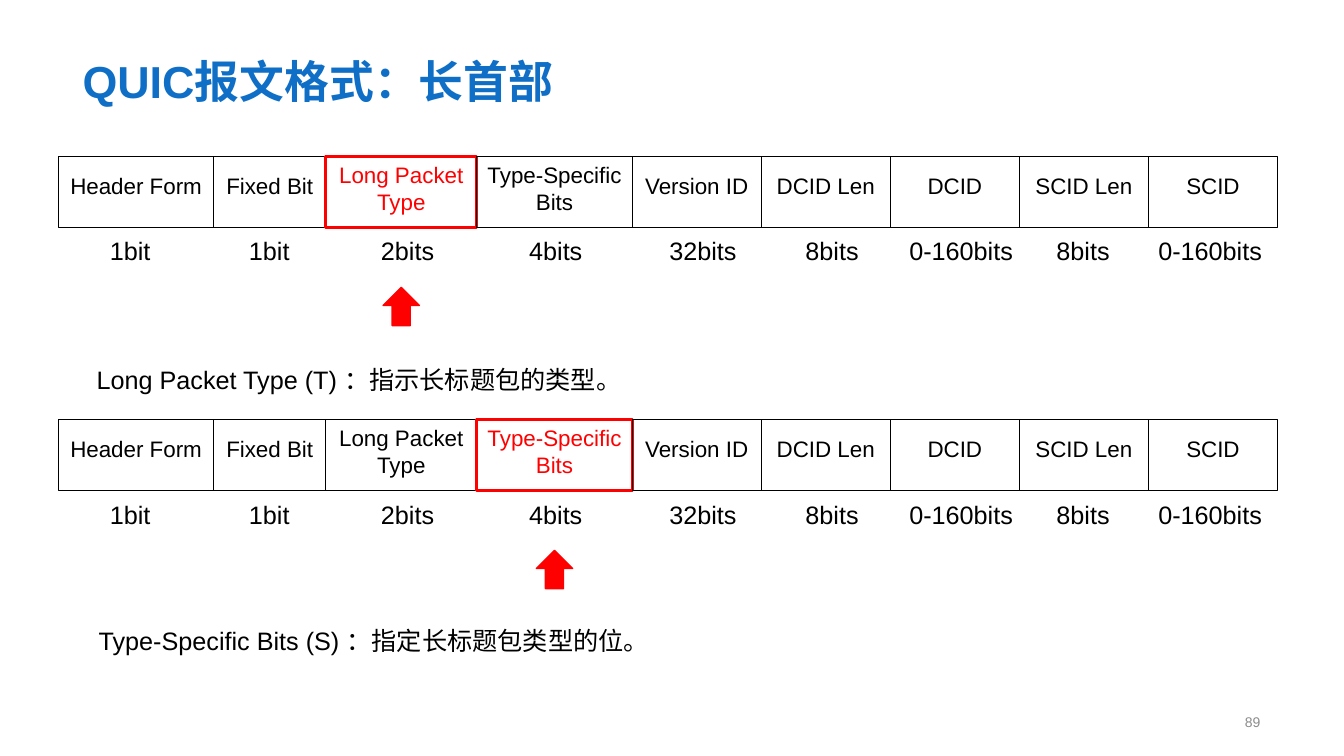
from pptx import Presentation
from pptx.dml.color import RGBColor
from pptx.enum.shapes import MSO_SHAPE as Shape
from pptx.enum.text import MSO_ANCHOR as Anchor, MSO_AUTO_SIZE as Fit, PP_ALIGN as Align
from pptx.util import Pt

PX = 9144
BLACK = RGBColor(0x00, 0x00, 0x00)
RED = RGBColor(0xFF, 0x00, 0x00)
BLUE = RGBColor(0x0F, 0x6F, 0xC6)
GRAY = RGBColor(0x8C, 0x8C, 0x8C)

deck = Presentation()
deck.slide_width, deck.slide_height = 1333 * PX, 750 * PX
slide = deck.slides.add_slide(deck.slide_layouts[6])


def write(shape, text, size, color, align=Align.LEFT):
    para = shape.text_frame.paragraphs[0]
    para.text = text
    para.alignment = align
    para.font.name = "Arial"
    para.font.size = Pt(size)
    para.font.color.rgb = color
    return para


def add_text(left, top, width, height, wrap=True):
    box = slide.shapes.add_textbox(left * PX, top * PX, width * PX, height * PX)
    box.text_frame.word_wrap = wrap
    return box


page = add_text(850, 701, 410, 30)
page.text_frame.vertical_anchor = Anchor.MIDDLE
write(page, "89", 10, GRAY, Align.RIGHT)

title = add_text(72, 14, 1188, 98)
title.text_frame.vertical_anchor = Anchor.BOTTOM
write(title, "QUIC报文格式：长首部", 32, BLUE).font.bold = True

fields = [
    ("Header Form", 154, "1bit", 99),
    ("Fixed Bit", 111, "1bit", 237),
    ("Long Packet Type", 150, "2bits", 368),
    ("Type-Specific Bits", 154, "4bits", 515),
    ("Version ID", 128, "32bits", 654),
    ("DCID Len", 128, "8bits", 789),
    ("DCID", 128, "0-160bits", 892),
    ("SCID Len", 128, "8bits", 1038),
    ("SCID", 128, "0-160bits", 1139),
]
rows = [
    (155, "Long Packet Type", 56, 342, "Long Packet Type (T) ：指示长标题包的类型。"),
    (416, "Type-Specific Bits", 58, 600, "Type-Specific Bits (S) ：指定长标题包类型的位。"),
]

for top, focus, note_x, note_y, note in rows:
    left = 58
    for name, width, bits, bits_x in fields:
        chosen = name == focus
        color = RED if chosen else BLACK
        cell = slide.shapes.add_shape(Shape.RECTANGLE, left * PX, top * PX, width * PX, 71 * PX)
        cell.shadow.inherit = False
        cell.fill.background()
        cell.line.color.rgb = color
        cell.line.width = Pt(2.25 if chosen else 0.75)
        frame = cell.text_frame
        frame.word_wrap = True
        frame.vertical_anchor = Anchor.TOP
        frame.margin_top = (5 if width >= 150 and name != "Header Form" else 16) * PX
        write(cell, name, 16, color, Align.CENTER)

        label = add_text(bits_x, top + 74, 13 * len(bits) + 9, 40, wrap=False)
        label.text_frame.auto_size = Fit.SHAPE_TO_FIT_TEXT
        write(label, bits, 18, BLACK)

        if chosen:
            mid = left + width // 2
            arrow = slide.shapes.add_shape(
                Shape.UP_ARROW, (mid - 18) * PX, (top + 130) * PX, 36 * PX, 38 * PX)
            arrow.shadow.inherit = False
            arrow.fill.solid()
            arrow.fill.fore_color.rgb = RED
            arrow.line.color.rgb = RED
            arrow.line.width = Pt(1)
        left += width

    box = add_text(note_x, note_y, 960, 50)
    box.text_frame.auto_size = Fit.SHAPE_TO_FIT_TEXT
    para = write(box, note, 18, BLACK, Align.JUSTIFY)
    para.line_spacing = 1.5
    para._p.get_or_add_pPr().set("indent", str(30 * PX))

deck.save("out.pptx")
